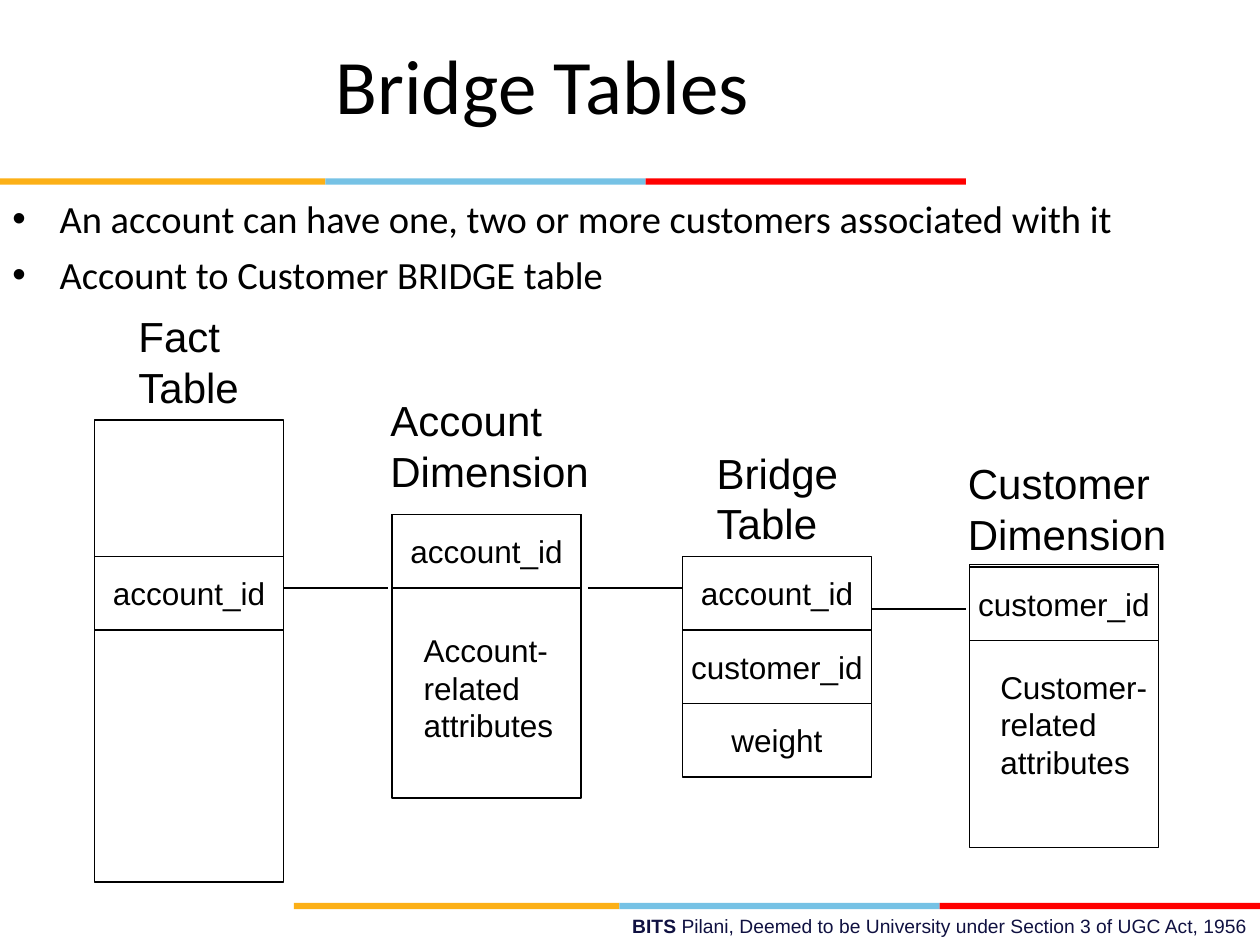
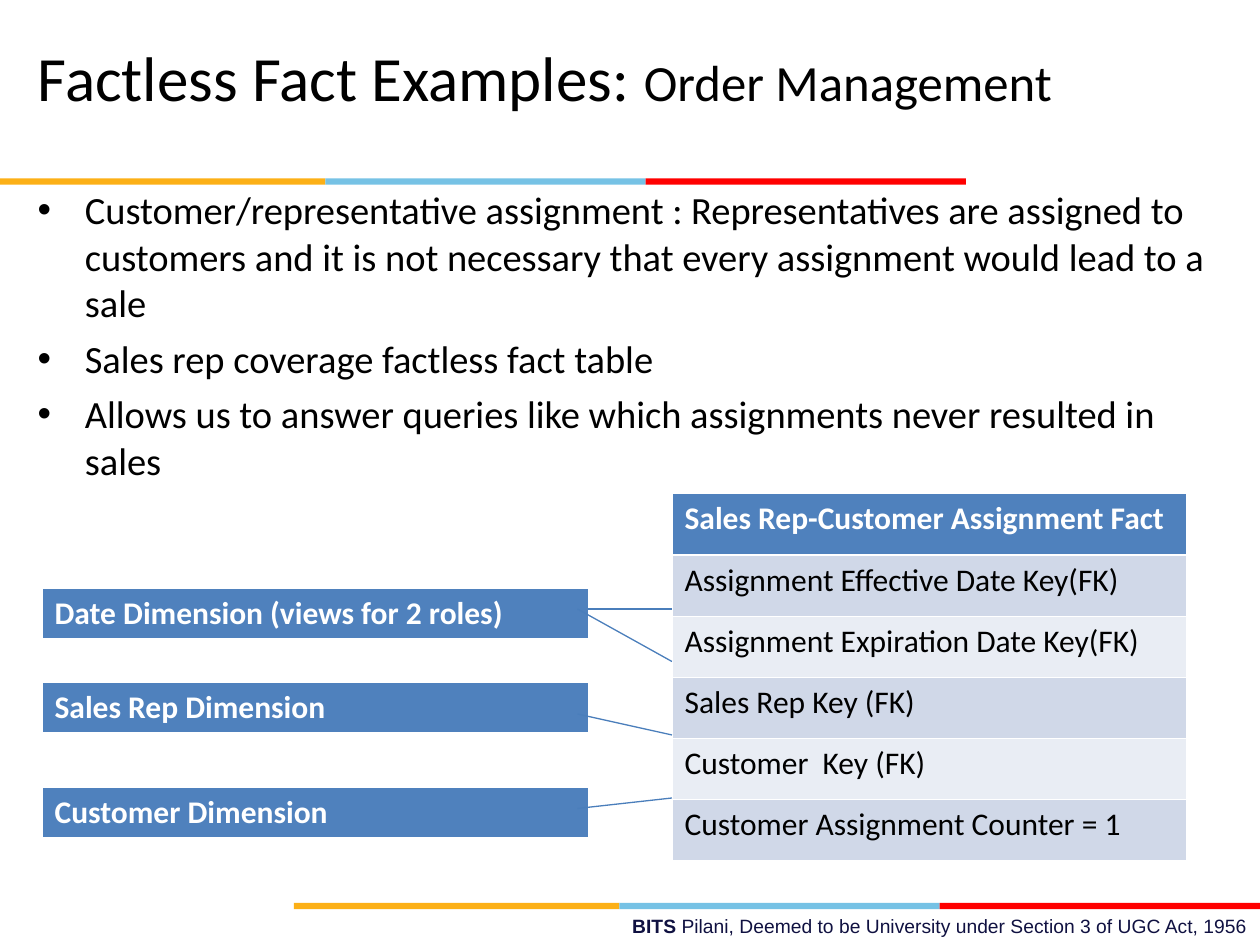
import pptx
import pptx.dml.color
import pptx.enum.shapes
import pptx.enum.text
import pptx.util
from lxml import etree
from pptx.oxml.ns import qn

Pt = pptx.util.Pt
ALIGN = pptx.enum.text.PP_ALIGN
ANCHOR = pptx.enum.text.MSO_ANCHOR
BLACK, WHITE, NAVY = "000000", "FFFFFF", "101141"
AMBER, SKY, RED = "FCB017", "76C2E5", "FF0000"
HEADER_BLUE, LINK_BLUE = "4F81BD", "4A7EBB"
ROW_FILLS = ["D0D8E8", "E9EDF4"]
ENTITY_WIDTH, FIELD_HEIGHT = 108, 42


def color(value):
    return pptx.dml.color.RGBColor.from_string(value)


def set_font(target, size, name="Arial", value=BLACK, bold=False):
    target.font.size = Pt(size)
    target.font.name = name
    target.font.bold = bold
    target.font.color.rgb = color(value)


def set_frame(frame, anchor=ANCHOR.TOP, wrap=True):
    frame.auto_size = pptx.enum.text.MSO_AUTO_SIZE.NONE
    frame.word_wrap = wrap
    frame.vertical_anchor = anchor
    frame.margin_left = frame.margin_right = Pt(7.2)
    frame.margin_top = frame.margin_bottom = Pt(3.6)


def add_text_box(page, left, top, width, height, wrap=True):
    box = page.shapes.add_textbox(Pt(left), Pt(top), Pt(width), Pt(height))
    set_frame(box.text_frame, wrap=wrap)
    return box.text_frame


def add_label(page, left, top, width, height, text, size):
    para = add_text_box(page, left, top, width, height, wrap=False).paragraphs[0]
    para.text = text
    set_font(para, size)


def add_rectangle(page, left, top, width, height, fill=None, line=None):
    box = page.shapes.add_shape(
        pptx.enum.shapes.MSO_SHAPE.RECTANGLE, Pt(left), Pt(top), Pt(width), Pt(height))
    box.shadow.inherit = False
    if fill:
        box.fill.solid()
        box.fill.fore_color.rgb = color(fill)
    else:
        box.fill.background()
    if line:
        box.line.color.rgb = color(line)
        box.line.width = Pt(0.75)
    else:
        box.line.fill.background()
    return box


def add_line(page, start, end, value):
    line = page.shapes.add_connector(
        pptx.enum.shapes.MSO_CONNECTOR.STRAIGHT, *[Pt(number) for number in start + end])
    line.line.color.rgb = color(value)
    line.line.width = Pt(0.75)
    etree.SubElement(line._element.spPr, qn("a:effectLst"))


def add_band(page, left, top):
    for offset, width, fill in [(0, 186, AMBER), (186, 183, SKY), (369, 183, RED)]:
        add_rectangle(page, left + offset, top, width, 3.6, fill)


def add_footer(page, left, top):
    para = add_text_box(page, left, top, 462, 21).paragraphs[0]
    para.alignment = ALIGN.RIGHT
    set_font(para, 11, value=NAVY)
    span = para.add_run()
    span.text = "BITS "
    span.font.bold = True
    para.add_run().text = "Pilani, Deemed to be University under Section 3 of UGC Act, 1956"


def add_title(page, left, top, width, height, spans, alignment):
    title = page.shapes.title
    title.left, title.top, title.width, title.height = map(Pt, (left, top, width, height))
    set_frame(title.text_frame, ANCHOR.MIDDLE)
    para = title.text_frame.paragraphs[0]
    para.alignment = alignment
    for text, size in spans:
        span = para.add_run()
        span.text = text
        set_font(span, size, "Calibri")


def add_page(deck):
    page = deck.slides.add_slide(deck.slide_layouts[5])
    add_footer(page, 258, 519)
    add_band(page, 168, 516)
    add_band(page, 0, 102)
    return page


def add_bullets(page, left, top, width, height, lines):
    frame = add_text_box(page, left, top, width, height)
    for index, text in enumerate(lines):
        para = frame.paragraphs[0] if index == 0 else frame.add_paragraph()
        para.text = text
        properties = para._p.get_or_add_pPr()
        properties.set("marL", str(Pt(27)))
        properties.set("indent", str(-Pt(27)))
        etree.SubElement(properties, qn("a:buFont"), typeface="Arial")
        etree.SubElement(properties, qn("a:buChar"), char="•")
        if index:
            para.space_before = Pt(5.5)
        set_font(para, 22, "Calibri")


def add_entity(page, left, top, height, fields, caption, first_field=0, attributes=None):
    if height:
        add_rectangle(page, left, top, ENTITY_WIDTH, height, line=BLACK)
    for index, field in enumerate(fields):
        box = add_rectangle(page, left, top + first_field + index * FIELD_HEIGHT,
                            ENTITY_WIDTH, FIELD_HEIGHT, line=BLACK)
        set_frame(box.text_frame, ANCHOR.MIDDLE, wrap=False)
        para = box.text_frame.paragraphs[0]
        para.text = field
        para.alignment = ALIGN.CENTER
        set_font(para, 18)
    text, right, down, width = caption
    add_label(page, left + right, top + down, width, 65, text, 24)
    if attributes:
        text, right, down, width = attributes
        add_label(page, left + right, top + down, width, 72, text, 18)


def set_borders(cell, top, bottom):
    properties = cell._tc.get_or_add_tcPr()
    for side, width in [("L", 0.45), ("R", 0.45), ("T", top), ("B", bottom)]:
        line = etree.SubElement(properties, qn("a:ln" + side), w=str(Pt(width)))
        fill = etree.SubElement(line, qn("a:solidFill"))
        etree.SubElement(fill, qn("a:srgbClr"), val=WHITE)


def add_key_table(page, left, top, width, row_height, lines):
    table = page.shapes.add_table(
        len(lines), 1, Pt(left), Pt(top), Pt(width), Pt(row_height * len(lines))).table
    table.first_row = table.horz_banding = False
    for index, text in enumerate(lines):
        table.rows[index].height = Pt(row_height)
        header = index == 0
        cell = table.cell(index, 0)
        set_borders(cell, 1.47 if index == 1 else 0.45, 1.47 if header else 0.45)
        cell.fill.solid()
        cell.fill.fore_color.rgb = color(HEADER_BLUE if header else ROW_FILLS[(index - 1) % 2])
        para = cell.text_frame.paragraphs[0]
        para.text = text
        set_font(para, 18, "Calibri", WHITE if header else BLACK, header)


def build_bridge_tables(deck):
    page = add_page(deck)
    add_title(page, 6.5, 18, 607, 60, [("Bridge Tables", 44)], ALIGN.CENTER)
    add_bullets(page, 0, 108, 702, 78, [
        "An account can have one, two or more customers associated with it",
        "Account to Customer BRIDGE table",
    ])
    add_entity(page, 54, 240, 264, ["account_id"], ("Fact\nTable", 18, -66, 74), first_field=78)
    add_entity(page, 224, 294, 162, ["account_id"], ("Account\nDimension", -8, -72, 127),
               attributes=("Account-\nrelated\nattributes", 11, 63, 88.5))
    add_entity(page, 390, 318, 0, ["account_id", "customer_id", "weight"],
               ("Bridge\nTable", 12.5, -66, 83.5))
    add_entity(page, 554, 322.5, 162, ["customer_id"], ("Customer\nDimension", -8, -64.5, 127),
               first_field=1.5, attributes=("Customer-\nrelated\nattributes", 10.5, 55.5, 98))
    for start, end, level in [(162, 222, 336), (336, 390, 336), (498, 552, 348)]:
        add_line(page, (start, level), (end, level), BLACK)


def build_factless_facts(deck):
    page = add_page(deck)
    add_bullets(page, 14.4, 103, 699, 401, [
        "Customer/representative assignment : Representatives are assigned to customers "
        "and it is not necessary that every assignment would lead to a sale",
        "Sales rep coverage factless fact table",
        "Allows us to answer queries like which assignments never resulted in sales",
    ])
    add_title(page, 14.4, 16, 643, 55.5,
              [("Factless Fact Examples: ", 36), ("Order Management", 29)], ALIGN.LEFT)
    add_key_table(page, 384, 282, 294, 35, [
        "Sales Rep-Customer Assignment Fact",
        "Assignment Effective Date Key(FK)",
        "Assignment Expiration Date Key(FK)",
        "Sales Rep Key (FK)",
        "Customer  Key (FK)",
        "Customer Assignment Counter = 1",
    ])
    dimensions = [("Date Dimension (views for 2 roles)", 336),
                  ("Sales Rep Dimension", 390), ("Customer Dimension", 450)]
    for text, top in dimensions:
        add_key_table(page, 24, top, 312, 29.2, [text])
    for left, start, end in [(336, 348, 348), (330, 348, 378), (330, 408, 420), (330, 462, 456)]:
        add_line(page, (left, start), (384, end), LINK_BLUE)


def main():
    deck = pptx.Presentation()
    deck.slide_width, deck.slide_height = Pt(720), Pt(540)
    build_bridge_tables(deck)
    build_factless_facts(deck)
    deck.save("out.pptx")


if __name__ == "__main__":
    main()
